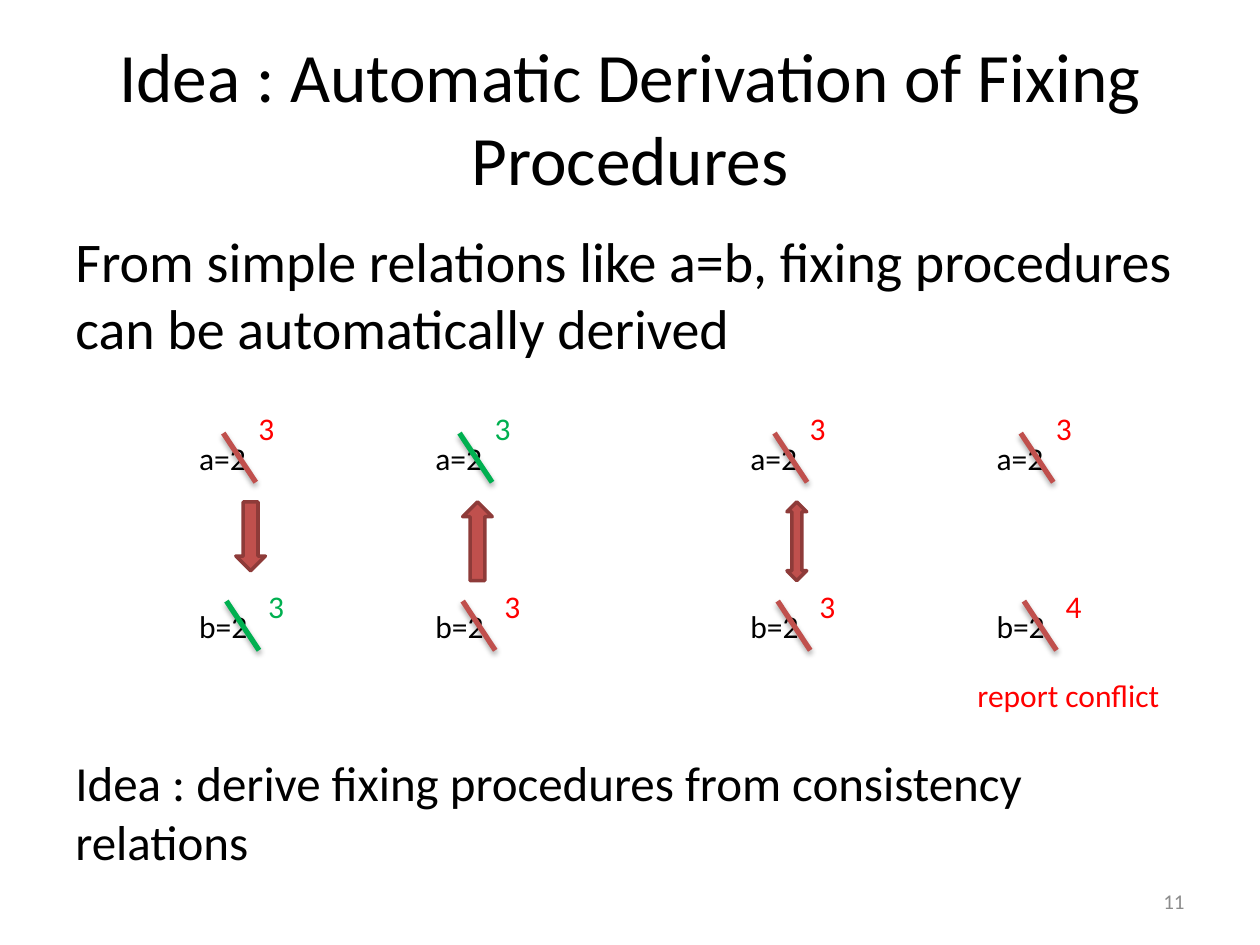
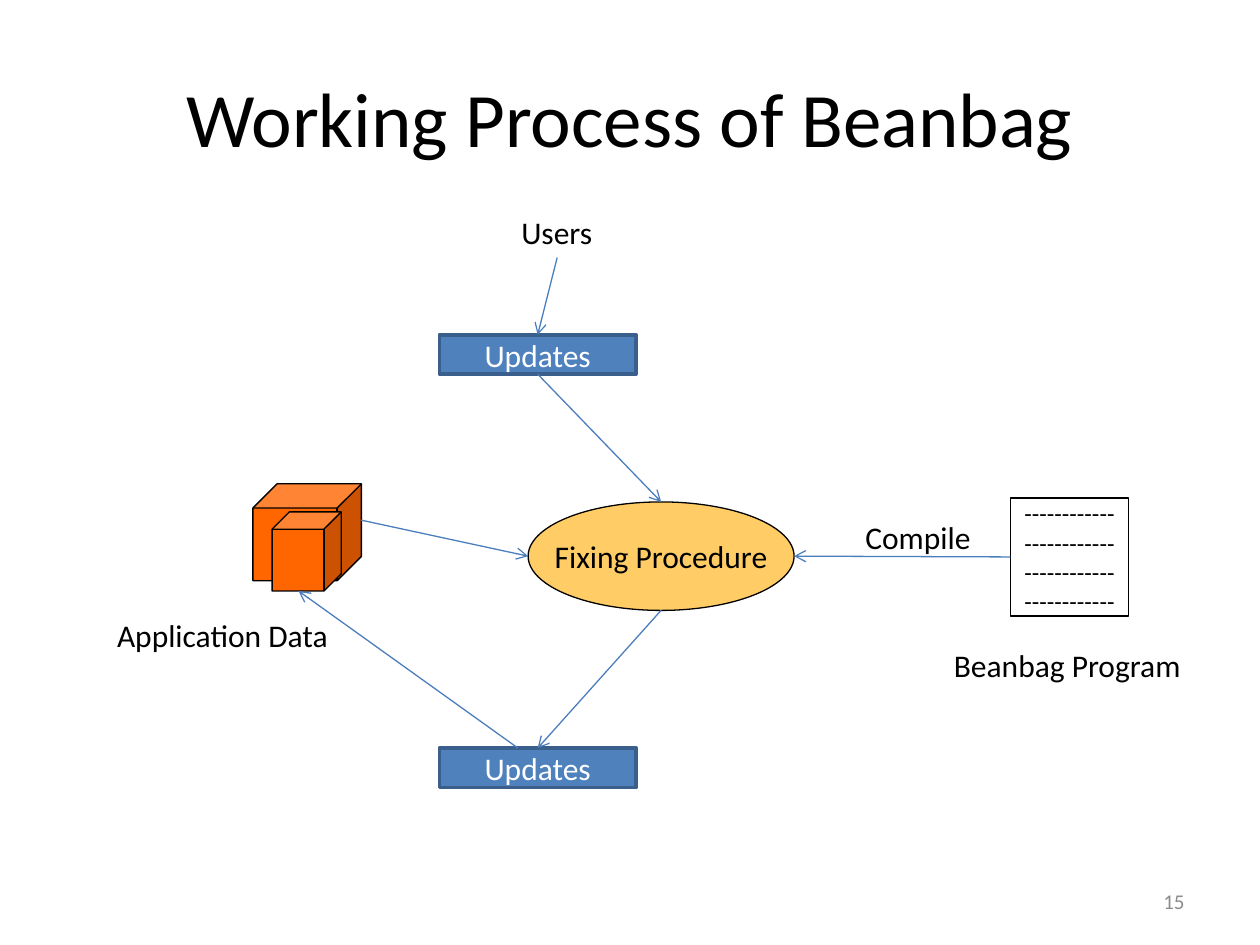
from lxml import etree
from pptx import Presentation
from pptx.dml.color import RGBColor
from pptx.enum import shapes, text
from pptx.oxml import ns
from pptx.util import Pt

FONT = "Calibri"
BLACK, WHITE, GREY = "000000", "FFFFFF", "8C8C8C"
RED, GREEN = "FF0000", "00B050"
BRICK, RUST = "C0504D", "8E3B39"
BLUE, NAVY, WIRE = "4F81BD", "3A5F8C", "4B7EBC"
ORANGE, SAND = "FF6600", "FFCC66"

KIND = shapes.MSO_SHAPE
LEFT, MID, RIGHT = text.PP_ALIGN.LEFT, text.PP_ALIGN.CENTER, text.PP_ALIGN.RIGHT
TOP, CORE = text.MSO_ANCHOR.TOP, text.MSO_ANCHOR.MIDDLE


def tint(code):
    return RGBColor.from_string(code)


def pts(*nums):
    return [Pt(n) for n in nums]


# Text and shapes
def write(shape, words, size=18, color=BLACK, align=LEFT, anchor=TOP, wrap=False):
    frame = shape.text_frame
    frame.word_wrap = wrap
    frame.vertical_anchor = anchor
    frame.text = words
    for para in frame.paragraphs:
        para.alignment = align
        font = para.runs[0].font
        font.name, font.size = FONT, Pt(size)
        font.color.rgb = tint(color)


def label(slide, words, x, y, w, h=29, **fmt):
    write(slide.shapes.add_textbox(*pts(x, y, w, h)), words, **fmt)


def block(slide, kind, box, fill, edge=BLACK, width=0.75, words=None, **fmt):
    shape = slide.shapes.add_shape(kind, *pts(*box))
    shape.shadow.inherit = False
    shape.fill.solid()
    shape.fill.fore_color.rgb = tint(fill)
    shape.line.color.rgb = tint(edge)
    shape.line.width = Pt(width)
    if words:
        write(shape, words, align=MID, anchor=CORE, **fmt)
    return shape


# Lines
def add(parent, tag, **attrs):
    return etree.SubElement(parent, ns.qn(tag), attrs)


def stroke(slide, start, end, color, width):
    line = slide.shapes.add_connector(shapes.MSO_CONNECTOR.STRAIGHT, *pts(*start, *end))
    line.line.color.rgb = tint(color)
    line.line.width = Pt(width)
    return line, add(line.element.spPr, "a:effectLst")


def slash(slide, x, y, color):
    line, effects = stroke(slide, (x, y), (x + 18.6, y + 28.1), color, 3)
    shade = add(effects, "a:outerShdw", blurRad="40000", dist="23000",
                dir="5400000", rotWithShape="0")
    add(add(shade, "a:srgbClr", val=BLACK), "a:alpha", val="35000")


def arrow(slide, start, end, source=None, target=None):
    """Join to source or target, each a (shape, side) pair."""
    line, _ = stroke(slide, start, end, WIRE, 0.75)
    add(line.get_or_add_ln(), "a:tailEnd", type="arrow")
    if source:
        line.begin_connect(*source)
    if target:
        line.end_connect(*target)


# Shared title and page number
def page(deck, title, number, size=44):
    slide = deck.slides.add_slide(deck.slide_layouts[6])
    label(slide, title, 36, 21.6, 648, 90, size=size, align=MID, anchor=CORE, wrap=True)
    label(slide, number, 516, 500.5, 168, size=12, color=GREY,
          align=RIGHT, anchor=CORE, wrap=True)
    return slide


# A struck-out value with its new value beside it
def change(slide, name, x, y, new, color, cut, shift):
    label(slide, f"{name}=2", x, y, 42)
    slash(slide, x + cut, y, BRICK if color == RED else GREEN)
    right, up = shift
    label(slide, new, x + right, y - up, 24, color=color)


def ideas(deck):
    slide = page(deck, "Idea : Automatic Derivation of Fixing Procedures", "11", 39.6)
    label(slide, "From simple relations like a=b, fixing procedures can be "
          "automatically derived", 36, 126, 648, 110, size=32, wrap=True)

    # Columns: left edge, colour of new a, new b and its colour
    cases = [(106.7, RED, "3", GREEN), (241.7, GREEN, "3", RED),
             (421.7, RED, "3", RED), (562.4, RED, "4", RED)]
    for x, hue, new, tone in cases:
        change(slide, "a", x, 247.5, "3", hue, 20.9, (33.8, 17.2))
        change(slide, "b", x, 343.5, new, tone, 22.7, (39.4, 11.5))
    label(slide, "report conflict", 551.5, 382.5, 119.5, color=RED)

    # Direction of each fix
    for kind, x, w, h in [(KIND.DOWN_ARROW, 134.8, 16.9, 39.4),
                          (KIND.UP_ARROW, 264.4, 16.9, 45),
                          (KIND.UP_DOWN_ARROW, 449.7, 11.3, 45)]:
        block(slide, kind, (x, 286.8, w, h), BRICK, RUST, 2)

    label(slide, "Idea : derive fixing procedures from consistency relations",
          36, 426.4, 660, 75, size=28, wrap=True)


def process(deck):
    slide = page(deck, "Working Process of Beanbag", "15")

    # Application data
    for box in [(144.5, 276.5, 62, 55.4), (155.5, 292.5, 39.5, 45.2)]:
        block(slide, KIND.CUBE, box, ORANGE)
    label(slide, "Application Data", 59.8, 348.5, 136.8)

    # Procedure, updates and program
    block(slide, KIND.OVAL, (301.8, 286.8, 152, 62), SAND, words="Fixing Procedure")
    first, last = [block(slide, KIND.RECTANGLE, (251, y, 112.5, 22.5), BLUE, NAVY, 2,
                         words="Updates", color=WHITE, wrap=True) for y in (191.3, 427.5)]
    code = block(slide, KIND.RECTANGLE, (577.4, 284.5, 67.5, 67.5), WHITE,
                 words="\n".join(["-" * 12] * 4), size=14)
    label(slide, "Users", 290.8, 118.2, 55.5)
    label(slide, "Beanbag Program", 538, 365.8, 145.5)
    label(slide, "Compile", 487.4, 292.5, 75.5)

    # Flow
    arrow(slide, (318.4, 147.2), (307.3, 191.3), target=(first, 0))
    arrow(slide, (307.3, 213.8), (377.8, 286.8), source=(first, 2))
    arrow(slide, (377.8, 348.8), (307.3, 427.5), target=(last, 0))
    arrow(slide, (296, 427.5), (170.6, 337.7))
    arrow(slide, (577.4, 318.2), (453.8, 317.8), source=(code, 1))
    arrow(slide, (206.2, 297.2), (301.8, 317.8))


def main():
    deck = Presentation()
    deck.slide_width, deck.slide_height = pts(720, 540)
    ideas(deck)
    process(deck)
    deck.save("out.pptx")


if __name__ == "__main__":
    main()
